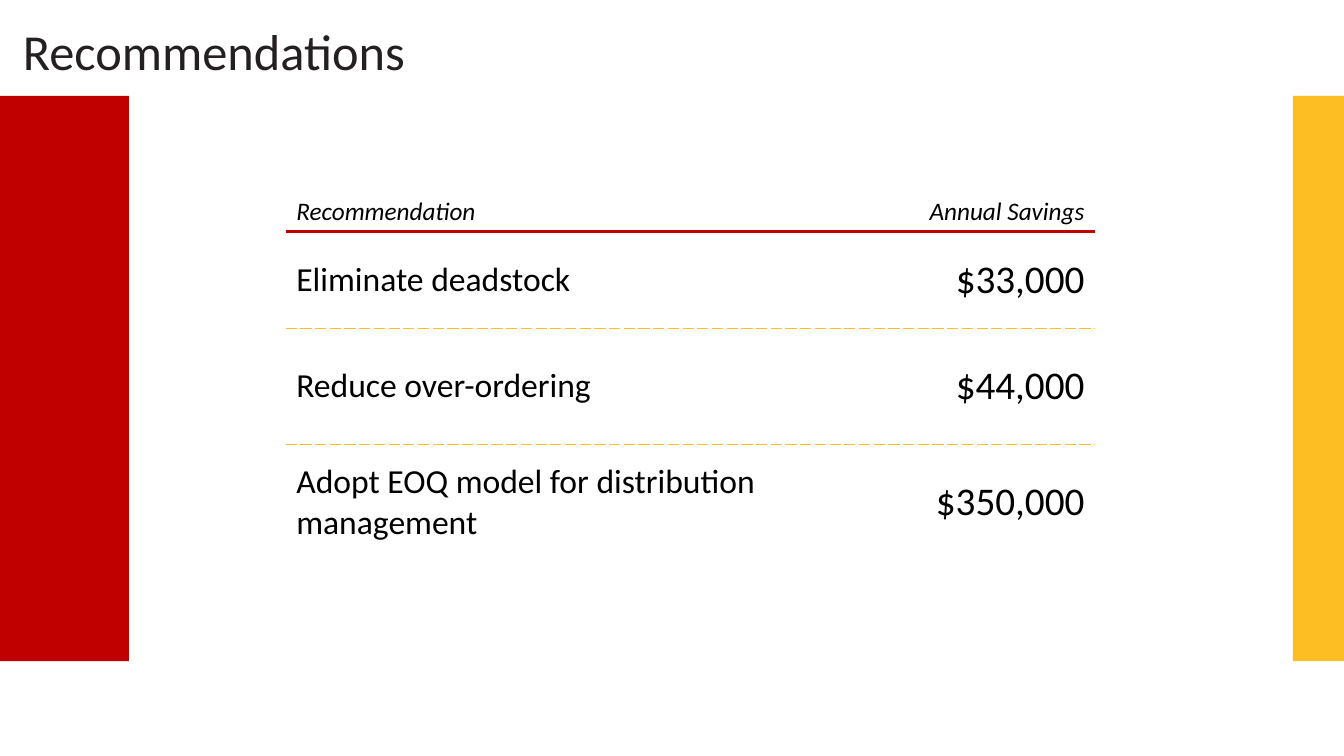
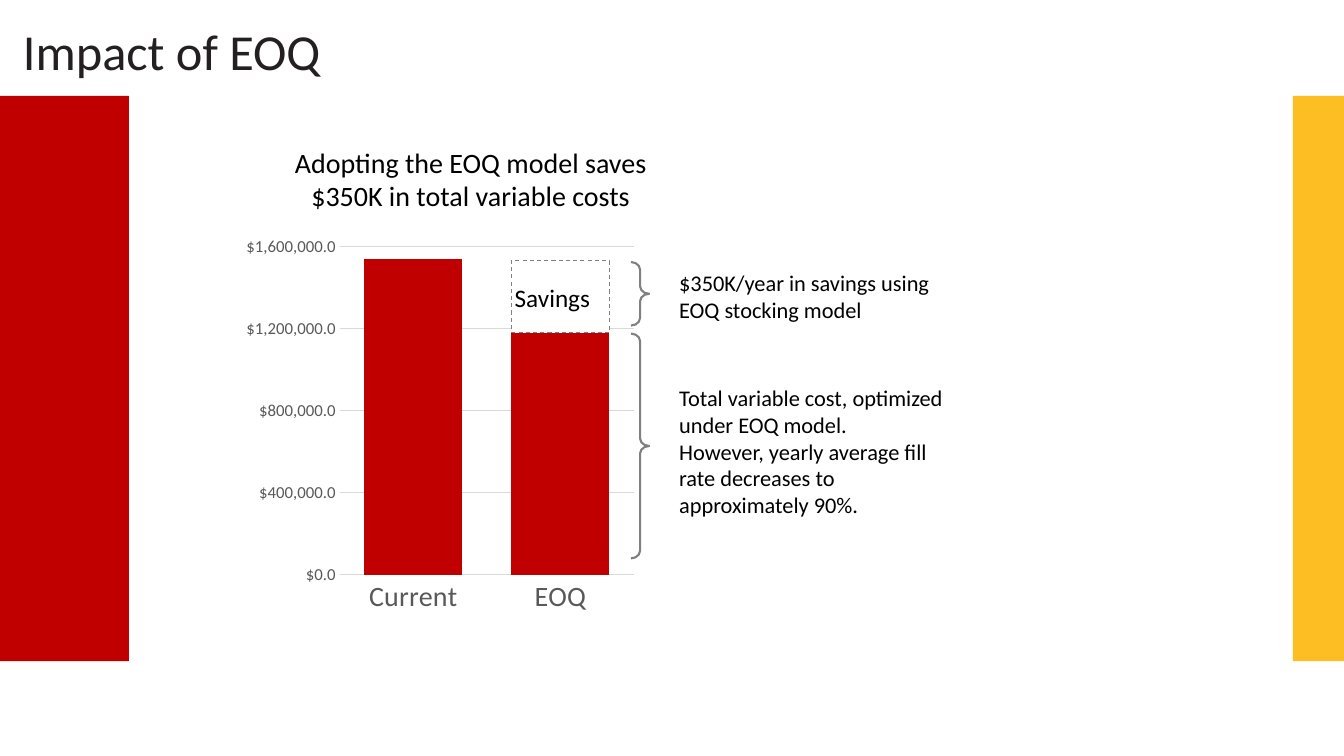
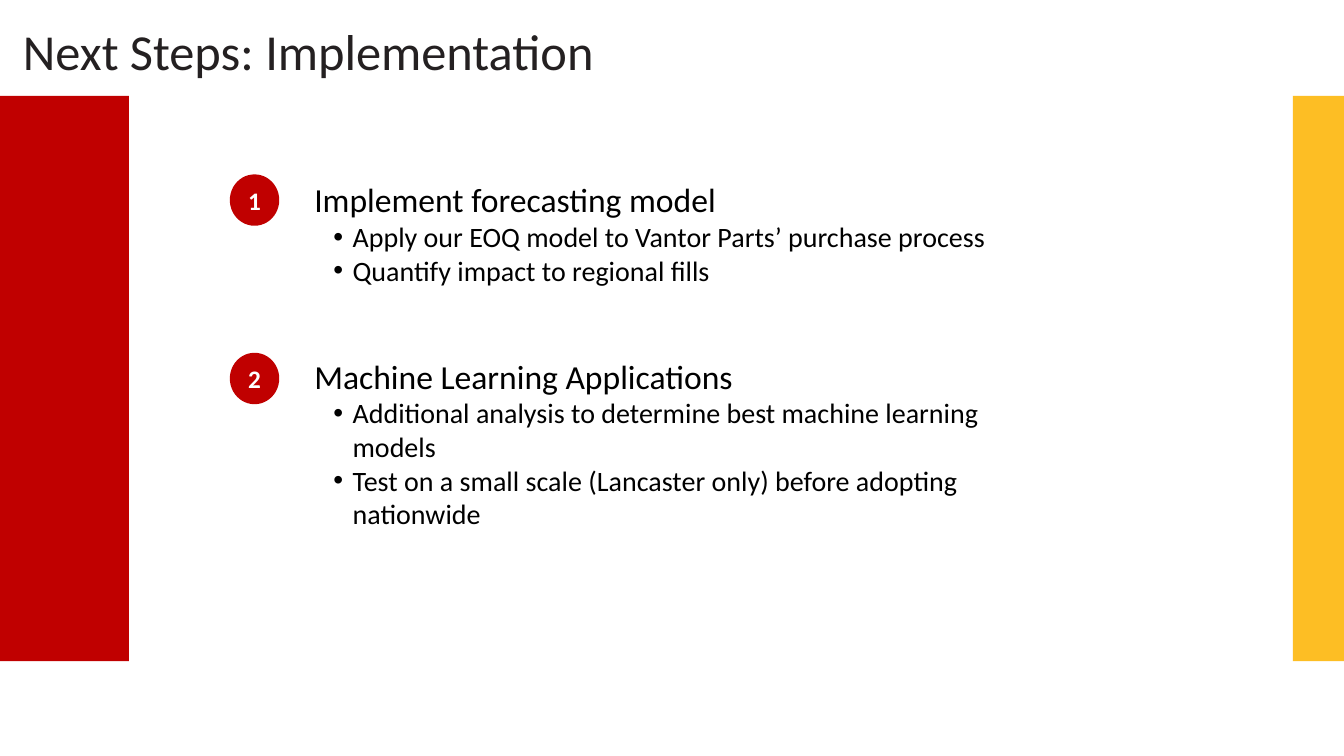
import pptx
import pptx.util
import pptx.dml.color
import pptx.chart.data
import pptx.enum.chart
import pptx.enum.dml
import pptx.enum.shapes
import pptx.enum.text
import pptx.oxml
import pptx.oxml.ns
import lxml.etree
from dataclasses import dataclass

Pt = pptx.util.Pt
Align = pptx.enum.text.PP_ALIGN
Mid = pptx.enum.text.MSO_ANCHOR
Kind = pptx.enum.shapes.MSO_SHAPE
Tick = pptx.enum.chart.XL_TICK_MARK


@dataclass(frozen=True)
class Theme:
    font: str = "Calibri"
    red: str = "C00000"
    gold: str = "FDBE24"
    ink: str = "242021"
    black: str = "000000"
    white: str = "FFFFFF"
    gray: str = "808080"
    label: str = "595959"
    rule: str = "D9D9D9"
    title: int = 36
    sum: int = 28
    head: int = 24
    body: int = 20
    small: int = 18
    note: int = 16
    tick: int = 12


T = Theme()
COLS, ROWS = 40, 22.5
CELL = pptx.util.Inches(13.333) / COLS

TITLES = ["Recommendations", "Impact of EOQ", "Next Steps: Implementation"]
BANDS = [((0, 2.85, 3.84, 16.83), T.red), ((38.48, 2.85, 1.52, 16.83), T.gold)]

SAVINGS = [
    ("Recommendation", "Annual Savings"),
    ("Eliminate deadstock", "$33,000"),
    ("Reduce over-ordering", "$44,000"),
    ("Adopt EOQ model for distribution management", "$350,000"),
]
WIDTHS = [16.65, 7.41]
HEIGHTS = [2.07, 2.88, 3.45, 3.45]
HEAD_LINE = (T.red, 2.25, "solid")
ROW_LINE = (T.gold, 1.5, "sysDash")

CATS = ["Current", "EOQ"]
COSTS = [("Series 1", (1540000, 1180000), T.red), ("Series 2", (None, 350000), T.white)]
PLOT = {"x": 0.25, "y": 0.04, "w": 0.73, "h": 0.84}
CLAIM = "Adopting the EOQ model saves $350K in total variable costs"
NOTES = [
    ((7.8, 1.89), (7.86, 1.92), ["$350K/year in savings using EOQ stocking model"]),
    ((9.93, 6.69), (11.28, 4.35), [
        "Total variable cost, optimized under EOQ model.",
        "However, yearly average fill rate decreases to approximately 90%.",
    ]),
]

STEPS = [
    ("Implement forecasting model", [
        "Apply our EOQ model to Vantor Parts’ purchase process",
        "Quantify impact to regional fills",
    ]),
    ("Machine Learning Applications", [
        "Additional analysis to determine best machine learning models",
        "Test on a small scale (Lancaster only) before adopting nationwide",
    ]),
]
STEP_GAP = 5.31


def rgb(hue):
    return pptx.dml.color.RGBColor.from_string(hue)


def place(*box):
    return [round(n * CELL) for n in box]


def style(font, size, hue=T.black, bold=False, italic=False):
    font.name, font.size = T.font, Pt(size)
    font.bold, font.italic = bold, italic
    font.color.rgb = rgb(hue)


def write(frame, lines, size, hue=T.black, align=Align.LEFT, **look):
    frame.word_wrap = True
    for i, line in enumerate(lines):
        para = frame.paragraphs[0] if i == 0 else frame.add_paragraph()
        para.text, para.alignment = line, align
        style(para.font, size, hue, **look)


def text(slide, box, lines, size, **look):
    frame = slide.shapes.add_textbox(*place(*box)).text_frame
    write(frame, lines, size, **look)
    return frame


def shape(slide, kind, box, fill=None, line=None):
    item = slide.shapes.add_shape(kind, *place(*box))
    item.shadow.inherit = False
    if fill:
        item.fill.solid()
        item.fill.fore_color.rgb = rgb(fill)
    else:
        item.fill.background()
    if line:
        item.line.color.rgb = rgb(line)
        item.line.width = Pt(1.5)
    else:
        item.line.fill.background()
    return item


def border(cell, side, line):
    hue, width, dash = line
    cell._tc.get_or_add_tcPr().append(pptx.oxml.parse_xml(
        f'<a:{side} {pptx.oxml.ns.nsdecls("a")} w="{Pt(width)}"><a:solidFill>'
        f'<a:srgbClr val="{hue}"/></a:solidFill><a:prstDash val="{dash}"/></a:{side}>'))


def bullet(para):
    props = para._p.get_or_add_pPr()
    props.set("marL", str(pptx.util.Inches(0.38)))
    props.set("indent", str(pptx.util.Inches(-0.19)))
    for tag, name, mark in (("buFont", "typeface", "Arial"), ("buChar", "char", "•")):
        lxml.etree.SubElement(props, pptx.oxml.ns.qn("a:" + tag)).set(name, mark)


def savings(slide):
    box = place(8.52, 4.83, sum(WIDTHS), sum(HEIGHTS))
    table = slide.shapes.add_table(len(SAVINGS), len(WIDTHS), *box).table
    table.first_row = table.horz_banding = False
    for col, width in zip(table.columns, WIDTHS):
        col.width = round(width * CELL)
    lines = [None, HEAD_LINE, ROW_LINE, ROW_LINE, None]
    for r, words in enumerate(SAVINGS):
        table.rows[r].height = round(HEIGHTS[r] * CELL)
        sizes = (T.head, T.sum) if r else (T.small, T.small)
        for c, (word, size) in enumerate(zip(words, sizes)):
            cell = table.cell(r, c)
            for side, line in (("lnT", lines[r]), ("lnB", lines[r + 1])):
                if line:
                    border(cell, side, line)
            cell.fill.solid()
            cell.fill.fore_color.rgb = rgb(T.white)
            cell.vertical_anchor = Mid.MIDDLE if r else Mid.BOTTOM
            write(cell.text_frame, [word], size, italic=r == 0,
                  align=Align.RIGHT if c else Align.LEFT)


def costs(slide):
    data = pptx.chart.data.CategoryChartData()
    data.categories = CATS
    for name, vals, _ in COSTS:
        data.add_series(name, vals)
    kind = pptx.enum.chart.XL_CHART_TYPE.COLUMN_STACKED
    chart = slide.shapes.add_chart(kind, *place(7.11, 6.87, 12, 11.64), data).chart
    chart.has_legend = chart.has_title = False
    style(chart.font, 10)
    plot = chart.plots[0]
    plot.gap_width, plot.overlap, plot.vary_by_categories = 50, 100, False
    for bar, (_, _, hue) in zip(plot.series, COSTS):
        bar.format.fill.solid()
        bar.format.fill.fore_color.rgb = rgb(hue)
    edge = plot.series[1].format.line
    edge.color.rgb, edge.width = rgb(T.gray), Pt(0.75)
    edge.dash_style = pptx.enum.dml.MSO_LINE.DASH
    cat, val = chart.category_axis, chart.value_axis
    for axis, size in ((cat, T.body), (val, T.tick)):
        axis.major_tick_mark = axis.minor_tick_mark = Tick.NONE
        style(axis.tick_labels.font, size, T.label)
    val.minimum_scale, val.maximum_scale, val.major_unit = 0, 1600000, 400000
    val.tick_labels.number_format = '"$"#,##0.0'
    val.tick_labels.number_format_is_linked = False
    val.format.line.fill.background()
    for line in (cat.format.line, val.major_gridlines.format.line):
        line.color.rgb, line.width = rgb(T.rule), Pt(0.75)
    area = chart._chartSpace.chart.plotArea
    for old in area.findall(pptx.oxml.ns.qn("c:layout")):
        area.remove(old)
    parts = '<c:layoutTarget val="inner"/><c:xMode val="edge"/><c:yMode val="edge"/>'
    parts += "".join(f'<c:{key} val="{share}"/>' for key, share in PLOT.items())
    area.insert(0, pptx.oxml.parse_xml(
        f'<c:layout {pptx.oxml.ns.nsdecls("c")}><c:manualLayout>{parts}'
        '</c:manualLayout></c:layout>'))


def impact(slide):
    costs(slide)
    text(slide, (7.98, 4.17, 12.06, 2.31), [CLAIM], T.body, align=Align.CENTER)
    for (top, tall), (y, high), lines in NOTES:
        brace = shape(slide, Kind.RIGHT_BRACE, (18.78, top, 0.54, tall), line=T.gray)
        brace.adjustments[0] = 0.42
        text(slide, (19.92, y, 8.7, high), lines, T.note)
    text(slide, (14.61, 8.25, 3.66, 1.2), ["Savings"], T.small, align=Align.CENTER)


def steps(slide):
    lines = [line for head, points in STEPS for line in (head, *points)]
    heads = [head for head, _ in STEPS]
    frame = slide.shapes.add_textbox(*place(9.06, 5.19, 21.48, 10.8)).text_frame
    frame.word_wrap = True
    for i, line in enumerate(lines):
        para = frame.add_paragraph() if i else frame.paragraphs[0]
        para.text = line
        if line not in heads:
            bullet(para)
        elif i:
            para.space_before = Pt(49)
        style(para.font, T.head if line in heads else T.body)
    for i in range(len(STEPS)):
        badge = shape(slide, Kind.OVAL, (6.84, 5.19 + i * STEP_GAP, 1.47, 1.53), T.red)
        badge.text_frame.vertical_anchor = Mid.MIDDLE
        write(badge.text_frame, [str(i + 1)], T.small, T.white, Align.CENTER, bold=True)


def main():
    deck = pptx.Presentation()
    deck.slide_width, deck.slide_height = place(COLS, ROWS)
    for title, fill in zip(TITLES, (savings, impact, steps)):
        slide = deck.slides.add_slide(deck.slide_layouts[6])
        for box, hue in BANDS:
            shape(slide, Kind.RECTANGLE, box, hue)
        text(slide, (0.39, 0.45, 39.61, 2.13), [title], T.title, hue=T.ink)
        fill(slide)
    deck.save("out.pptx")


if __name__ == "__main__":
    main()
